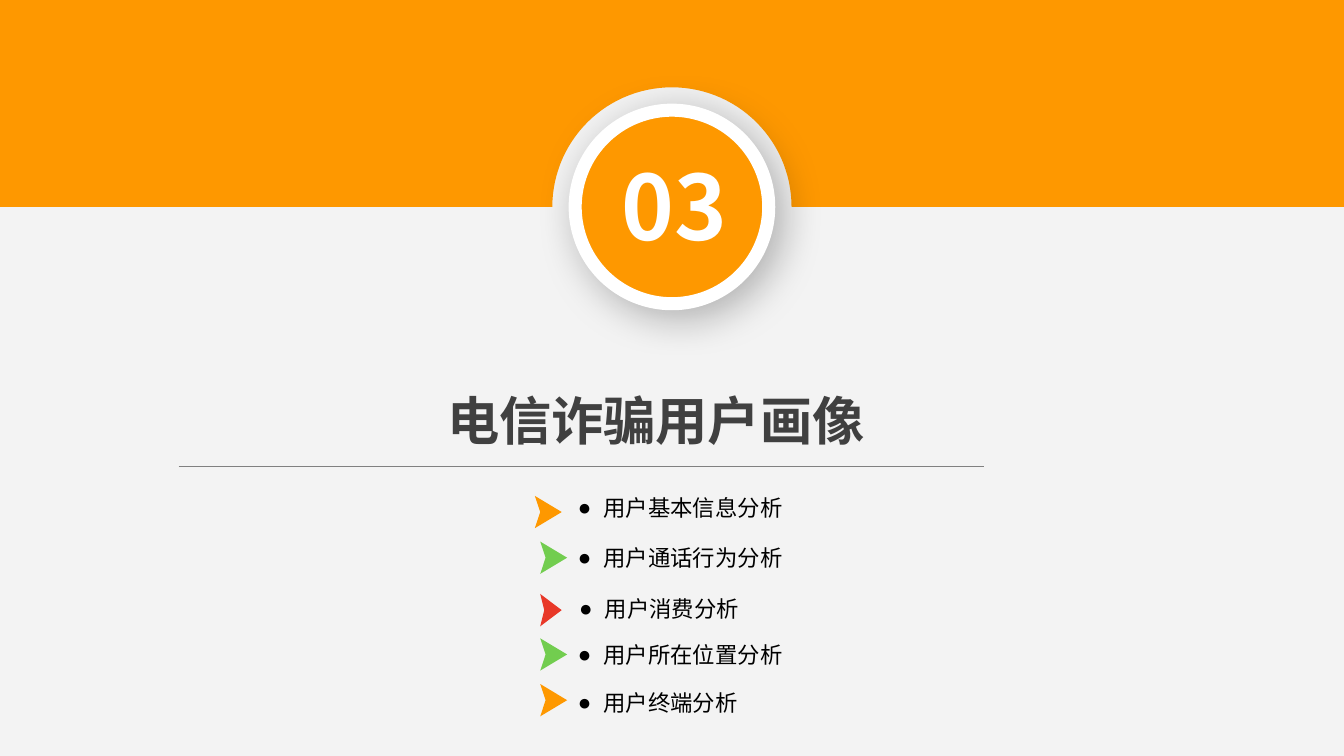
from math import cos, pi, sin

from lxml.etree import SubElement
from pptx import Presentation
from pptx.dml.color import RGBColor
from pptx.enum.shapes import MSO_CONNECTOR, MSO_SHAPE
from pptx.enum.text import MSO_AUTO_SIZE, PP_ALIGN
from pptx.oxml.ns import qn
from pptx.util import Inches, Pt

COLORS = {
    "background": "F3F3F3", "orange": "FE9800", "green": "72CD4F", "red": "E83828",
    "white": "FFFFFF", "title": "404040", "rule": "808080", "black": "000000",
}
FONT = "Noto Sans CJK SC"

# text, arrow colour, text left, top and width, arrow left, centre, width and notch
TOPICS = [
    ("用户基本信息分析", "orange", 4.3, 3.68, 1.59, 3.98, 3.81, 0.2, 0.04),
    ("用户通话行为分析", "green", 4.3, 4.05, 1.59, 4.02, 4.15, 0.2, 0.04),
    ("用户消费分析", "red", 4.31, 4.43, 2.05, 4.02, 4.54, 0.16, 0.03),
    ("用户所在位置分析", "green", 4.3, 4.77, 1.59, 4.02, 4.87, 0.2, 0.04),
    ("用户终端分析", "orange", 4.3, 5.13, 1.59, 4.02, 5.21, 0.2, 0.04),
]


def rgb(name):
    return RGBColor.from_string(COLORS[name])


def add_polygon(slide, points, color):
    corners = [(Inches(x), Inches(y)) for x, y in points]
    builder = slide.shapes.build_freeform(*corners[0])
    builder.add_line_segments(corners[1:], close=True)
    polygon = builder.convert_to_shape()
    polygon.shadow.inherit = False
    polygon.fill.solid()
    polygon.fill.fore_color.rgb = rgb(color)
    polygon.line.fill.background()


def add_text(slide, box, text, size, color, bold=False, align=PP_ALIGN.CENTER, insets=(0.1, 0.05)):
    """Add a one-line text box and return its paragraph."""
    frame = slide.shapes.add_textbox(*map(Inches, box)).text_frame
    frame.word_wrap = True
    frame.auto_size = MSO_AUTO_SIZE.SHAPE_TO_FIT_TEXT
    frame.margin_left = frame.margin_right = Inches(insets[0])
    frame.margin_top = frame.margin_bottom = Inches(insets[1])
    frame.text = text
    paragraph = frame.paragraphs[0]
    paragraph.alignment = align
    run = paragraph.runs[0]
    run.font.name = FONT
    run.font.size = Pt(size)
    run.font.bold = bold
    run.font.color.rgb = rgb(color)
    SubElement(run.font._element, qn("a:ea"), typeface=FONT)
    return paragraph


def add_band(slide, width, bottom, radius):
    """Add the top band with a round notch at the middle of its lower edge."""
    center, steps = width / 2, 60
    arc = [(center - radius * cos(pi * i / steps), bottom - radius * sin(pi * i / steps))
           for i in range(steps + 1)]
    add_polygon(slide, [(0, 0), (0, bottom), *arc, (width, bottom), (width, 0)], "orange")


def add_badge(slide, left, top, size, number):
    disc = slide.shapes.add_shape(MSO_SHAPE.OVAL, *map(Inches, (left, top, size, size)))
    disc.fill.solid()
    disc.fill.fore_color.rgb = rgb("orange")
    disc.line.color.rgb = rgb("white")
    disc.line.width = Pt(7)
    disc.shadow.inherit = False
    effects = disc._element.spPr.find(qn("a:effectLst"))
    shadow = SubElement(effects, qn("a:outerShdw"), blurRad=str(Pt(22)), dist=str(Pt(6)),
                        dir=str(45 * 60000), algn="tl", rotWithShape="0")
    shade = SubElement(shadow, qn("a:srgbClr"), val=COLORS["black"])
    SubElement(shade, qn("a:alpha"), val="28000")
    add_text(slide, (left + 0.19, top + 0.26, 1.09, 0.88), number, 48, "white",
             bold=True, insets=(0.07, 0.04))


def add_heading(slide, left, top, width, text):
    """Add the section title above its rule."""
    add_text(slide, (left + 1.78, top, 3.54, 1.04), text, 28, "title", bold=True)
    y = Inches(top + 0.63)
    rule = slide.shapes.add_connector(
        MSO_CONNECTOR.STRAIGHT, Inches(left), y, Inches(left + width), y)
    rule.line.color.rgb = rgb("rule")
    rule.line.width = Pt(0.75)
    SubElement(rule._element.spPr, qn("a:effectLst"))


def add_arrow(slide, left, center, width, notch, color):
    half = 0.12
    add_polygon(slide, [(left, center + half), (left + notch, center),
                        (left, center - half), (left + width, center)], color)


def add_topic(slide, left, top, width, text):
    paragraph = add_text(slide, (left, top, width, 0.2), text, 12, "black",
                         align=PP_ALIGN.LEFT, insets=(0, 0))
    properties = paragraph._p.get_or_add_pPr()
    properties.set("marL", str(Inches(0.19)))
    properties.set("indent", str(-Inches(0.19)))
    SubElement(properties, qn("a:buFont"), typeface="Arial")
    SubElement(properties, qn("a:buChar"), char="●")


def main():
    deck = Presentation()
    deck.slide_width, deck.slide_height = Inches(10), Inches(5.625)
    slide = deck.slides.add_slide(deck.slide_layouts[6])
    slide.background.fill.solid()
    slide.background.fill.fore_color.rgb = rgb("background")

    add_band(slide, 10, 1.54, 0.89)
    add_badge(slide, 4.28, 0.82, 1.44, "03")
    add_heading(slide, 1.33, 2.84, 5.99, "电信诈骗用户画像")
    for text, color, left, top, width, arrow_left, center, arrow_width, notch in TOPICS:
        add_arrow(slide, arrow_left, center, arrow_width, notch, color)
        add_topic(slide, left, top, width, text)
    deck.save("out.pptx")


if __name__ == "__main__":
    main()
